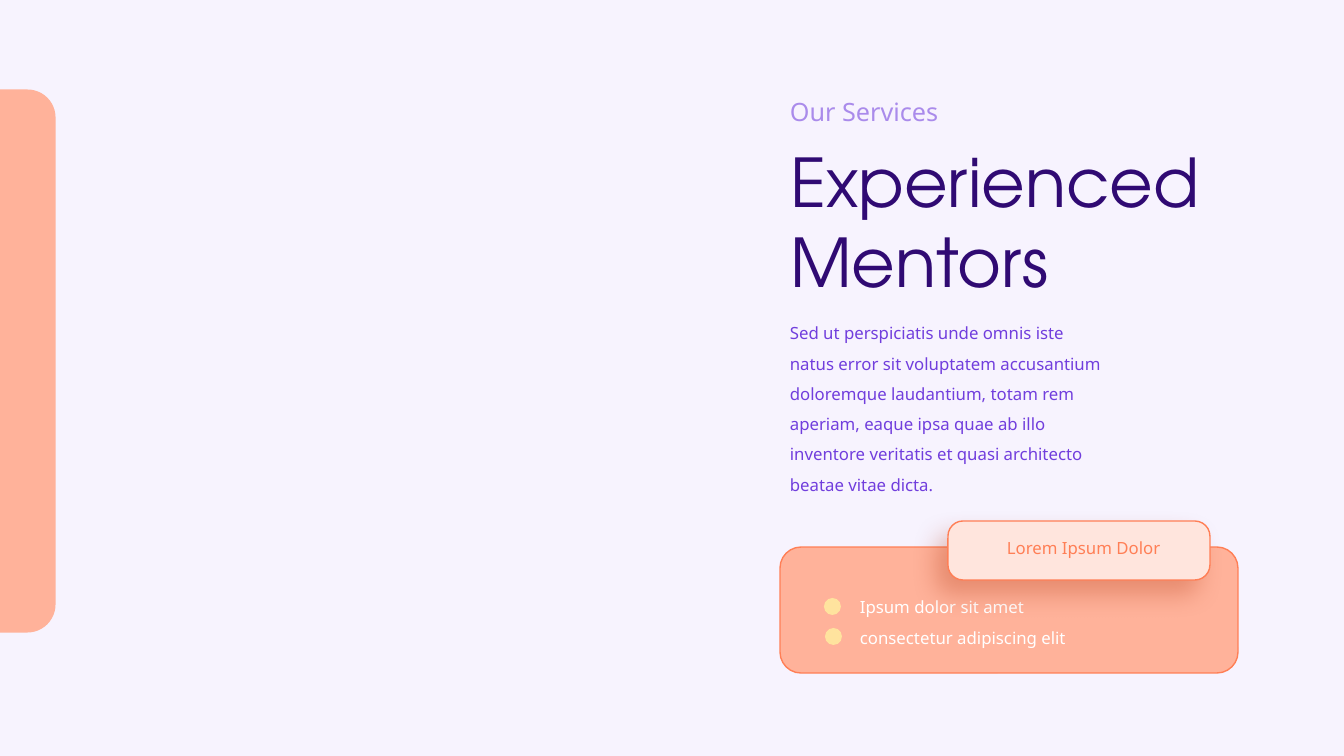
"""Builds the Experienced Mentors services slide."""
from lxml.etree import SubElement
from pptx import Presentation
from pptx.dml.color import RGBColor
from pptx.enum.shapes import MSO_SHAPE
from pptx.enum.text import MSO_ANCHOR, MSO_AUTO_SIZE, PP_ALIGN
from pptx.oxml.ns import qn
from pptx.util import Pt

PX = 914400 / 100.8
COLORS = {
    "background": "F7F3FE",
    "heading": "300A73",
    "body": "713EDD",
    "eyebrow": "AA8BEB",
    "coral": "FFB29A",
    "outline": "FF7F56",
    "badge": "FFE5DD",
    "dot": "FFE39E",
    "white": "FFFFFF",
    "shadow": "AB2900",
}


def write(text, box, color, size=12, font="Noto Sans", spacing=1.0, indent=0, holder=None):
    left, top, width, height = (round(value * PX) for value in box)
    holder = holder or slide.shapes.add_textbox(left, top, width, height)
    holder.left, holder.top, holder.width, holder.height = left, top, width, height
    frame = holder.text_frame
    frame.text = text
    frame.word_wrap = True
    frame.auto_size = MSO_AUTO_SIZE.NONE
    frame.vertical_anchor = MSO_ANCHOR.TOP
    for paragraph in frame.paragraphs:
        paragraph.alignment = PP_ALIGN.LEFT
        paragraph.line_spacing = spacing
        paragraph.space_before = Pt(0)
        if indent:
            properties = paragraph._p.get_or_add_pPr()
            properties.set("marL", str(round(indent * PX)))
            properties.set("indent", "0")
        paragraph.font.size = Pt(size)
        paragraph.font.name = font
        paragraph.font.color.rgb = RGBColor.from_string(COLORS[color])


def draw(kind, box, fill, line=None):
    shape = slide.shapes.add_shape(kind, *(round(value * PX) for value in box))
    shape.shadow.inherit = False
    shape.fill.solid()
    shape.fill.fore_color.rgb = RGBColor.from_string(COLORS[fill])
    if line:
        shape.line.color.rgb = RGBColor.from_string(COLORS[line])
        shape.line.width = Pt(1)
    else:
        shape.line.fill.background()
    return shape


presentation = Presentation()
presentation.slide_width = round(1344 * PX)
presentation.slide_height = round(756 * PX)
slide = presentation.slides.add_slide(presentation.slide_layouts[5])
slide.background.fill.solid()
slide.background.fill.fore_color.rgb = RGBColor.from_string(COLORS["background"])

draw(MSO_SHAPE.ROUNDED_RECTANGLE, (780, 547, 458, 126), "coral", "outline")

write("Experienced Mentors", (780, 135, 518, 158), "heading", size=48,
      font="TeX Gyre Adventor", holder=slide.shapes.title)
write("Sed ut perspiciatis unde omnis iste natus error sit voluptatem accusantium "
      "doloremque laudantium, totam rem aperiam, eaque ipsa quae ab illo inventore "
      "veritatis et quasi architecto beatae vitae dicta.",
      (780, 308, 339, 188), "body", spacing=1.5)
write("Our Services", (780, 91, 180, 37), "eyebrow", size=18)
write("Ipsum dolor sit amet\nconsectetur adipiscing elit",
      (833, 582, 307, 76), "white", spacing=1.5, indent=17)

badge = draw(MSO_SHAPE.ROUNDED_RECTANGLE, (948, 521, 262, 59), "badge", "outline")
badge.adjustments[0] = 0.256
effects = badge._element.spPr.find(qn("a:effectLst"))
badge_shadow = SubElement(effects, qn("a:outerShdw"), blurRad=str(Pt(18)), dist=str(Pt(13)),
                          dir=str(131 * 60000), algn="ctr", rotWithShape="0")
shadow_color = SubElement(badge_shadow, qn("a:srgbClr"), val=COLORS["shadow"])
SubElement(shadow_color, qn("a:alpha"), val="27000")
write("Lorem Ipsum Dolor", (997, 533, 183, 29), "outline")

for row in range(2):
    draw(MSO_SHAPE.OVAL, (824 + row, 598 + 30 * row, 17, 17), "dot")

side_panel = draw(MSO_SHAPE.ROUND_2_SAME_RECTANGLE, (-244, 333, 543, 56), "coral")
side_panel.adjustments[0] = 0.5
side_panel.rotation = 90

presentation.save("out.pptx")
